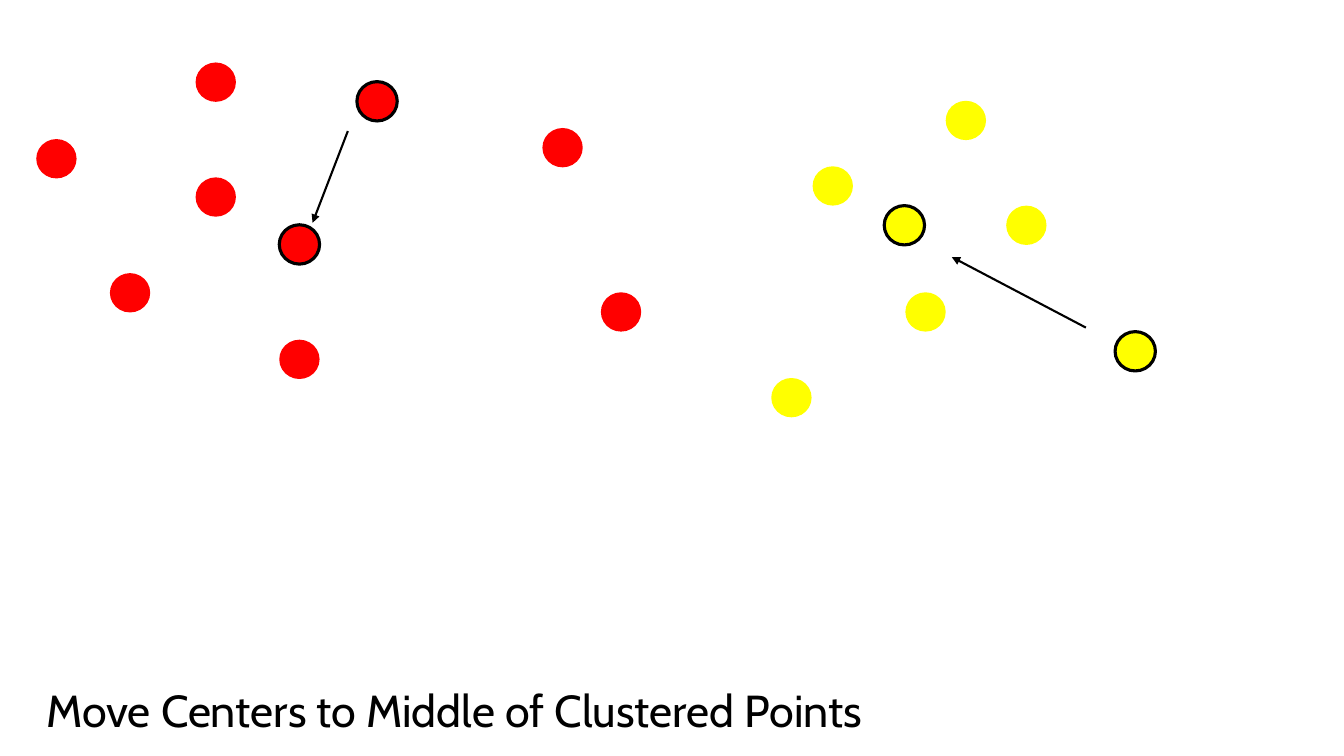
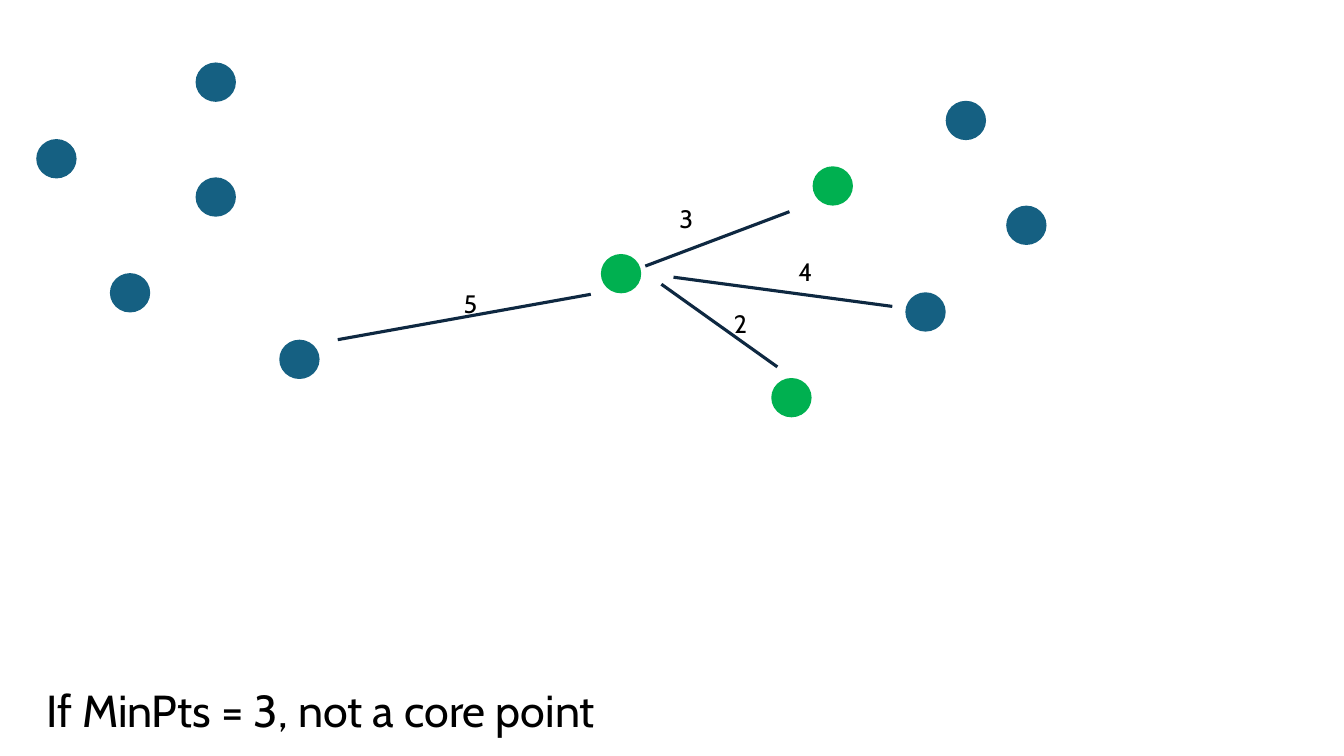
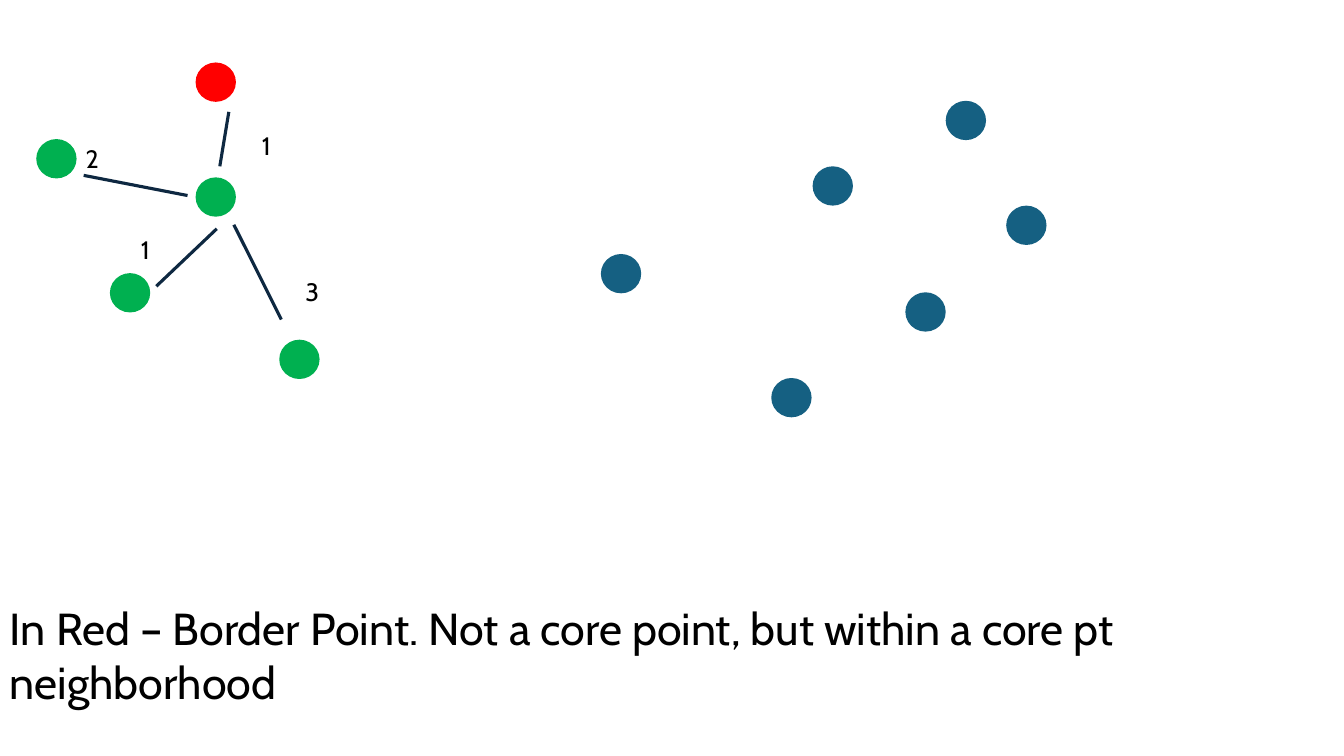
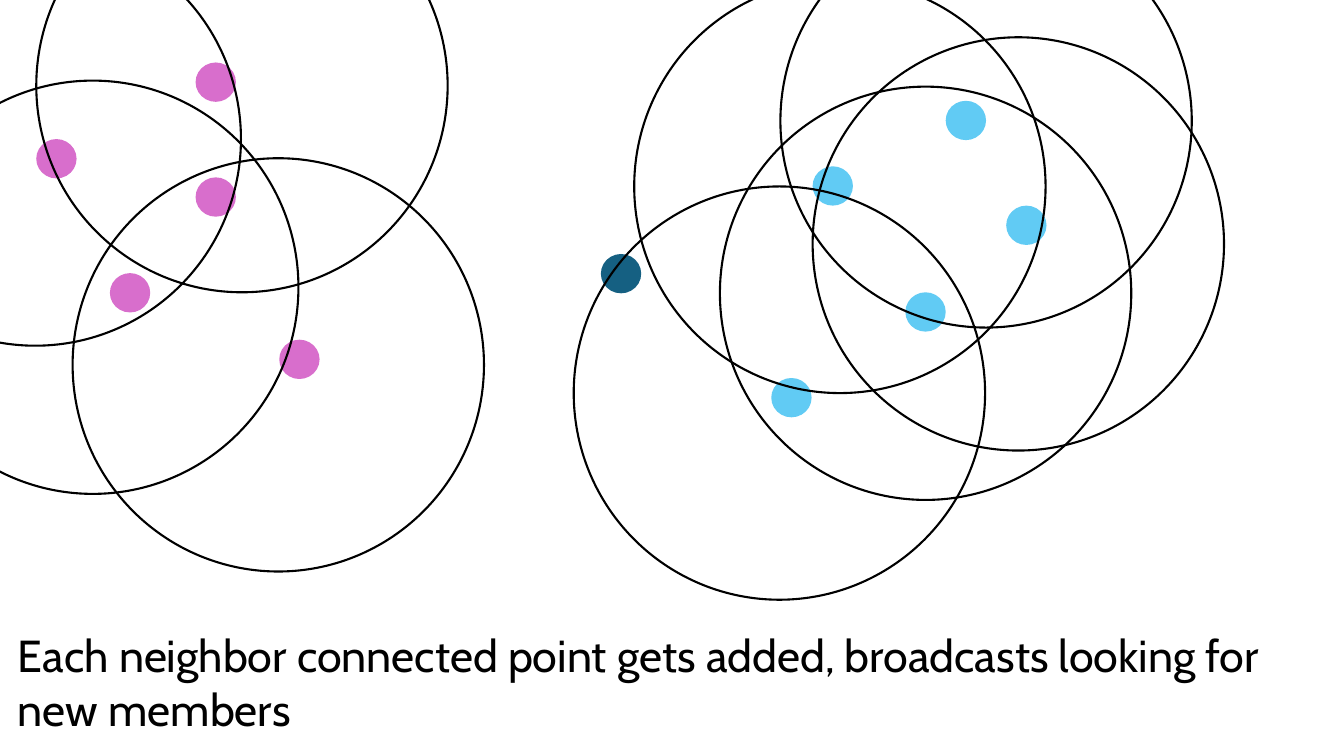
from dataclasses import dataclass, field
from typing import NamedTuple

from lxml.etree import SubElement
from pptx import Presentation
from pptx.dml.color import RGBColor
from pptx.enum.shapes import MSO_CONNECTOR as Connector, MSO_SHAPE as Preset
from pptx.enum.text import MSO_AUTO_SIZE as AutoSize
from pptx.oxml.ns import qn
from pptx.slide import Slide
from pptx.util import Inches, Pt

SLIDE_WIDTH, SLIDE_HEIGHT = Inches(13.33), Inches(7.5)
ROWS = 75
CELL = SLIDE_HEIGHT / ROWS
BLANK_LAYOUT = 6


@dataclass(frozen=True)
class Theme:
    font: str = "Cabin"
    caption_size: float = 32
    label_size: float = 18
    thin: float = 1.5
    thick: float = 2.25
    ink: str = "000000"
    link: str = "0E2841"
    plain: str = "156082"
    red: str = "FF0000"
    yellow: str = "FFFF00"
    green: str = "00B050"
    pink: str = "D86ECC"
    sky: str = "61CBF4"


class Place(NamedTuple):
    column: float
    row: float


class Size(NamedTuple):
    columns: float
    rows: float


class Dot(NamedTuple):
    place: Place
    color: str
    outlined: bool = False


class Line(NamedTuple):
    start: Place
    end: Place


class Label(NamedTuple):
    text: str
    place: Place


class Caption(NamedTuple):
    text: str
    place: Place
    size: Size


@dataclass(frozen=True)
class Scene:
    caption: Caption
    dots: list[Dot]
    arrows: list[Line] = field(default_factory=list)
    links: list[Line] = field(default_factory=list)
    labels: list[Label] = field(default_factory=list)
    rings: list[Place] = field(default_factory=list)


THEME = Theme()
DOT_SIZE = Size(4, 3.9)
RING_SIZE = Size(40.8, 41)
LABEL_SIZE = Size(4.8, 4)

LEFT_TOP = Place(19.4, 6.2)
LEFT_LOW = Place(10.9, 27.1)
LEFT_EDGE = Place(3.6, 13.8)
LEFT_CORE = Place(19.4, 17.6)
LEFT_BOTTOM = Place(27.7, 33.7)
MIDDLE = Place(59.6, 25.2)
RIGHT_BOTTOM = Place(76.5, 37.5)
RIGHT_LOW = Place(89.8, 29)
RIGHT_EDGE = Place(99.8, 20.4)
RIGHT_NEAR = Place(80.6, 16.5)
RIGHT_TOP = Place(93.8, 10)

LEFT_CLUSTER = [LEFT_TOP, LEFT_LOW, LEFT_EDGE, LEFT_CORE, LEFT_BOTTOM]
RIGHT_CLUSTER = [RIGHT_BOTTOM, RIGHT_LOW, RIGHT_EDGE, RIGHT_NEAR, RIGHT_TOP]
ALL_POINTS = [*LEFT_CLUSTER, MIDDLE, *RIGHT_CLUSTER]


def dots_of(places: list[Place], color: str, outlined: bool = False) -> list[Dot]:
    return [Dot(place, color, outlined) for place in places]


def highlighted(colors: dict[Place, str]) -> list[Dot]:
    return [Dot(place, colors.get(place, THEME.plain)) for place in ALL_POINTS]


SCENES = [
    Scene(
        Caption("Move Centers to Middle of Clustered Points", Place(3.6, 67.2), Size(92.4, 6.4)),
        dots_of([*LEFT_CLUSTER, Place(53.8, 12.7), Place(59.6, 29)], THEME.red)
        + dots_of(RIGHT_CLUSTER, THEME.yellow)
        + dots_of([Place(35.4, 8.1), Place(27.7, 22.3)], THEME.red, True)
        + dots_of([Place(110.6, 32.9), Place(87.7, 20.4)], THEME.yellow, True),
        arrows=[
            Line(Place(34.5, 13), Place(31, 22.1)),
            Line(Place(107.7, 32.5), Place(94.4, 25.5)),
        ],
    ),
    Scene(
        Caption("If MinPts = 3, not a core point", Place(3.6, 67.2), Size(110.5, 6.4)),
        highlighted(dict.fromkeys([MIDDLE, RIGHT_BOTTOM, RIGHT_NEAR], THEME.green)),
        links=[
            Line(Place(78.3, 21), Place(64, 26.4)),
            Line(Place(77.1, 36.4), Place(65.6, 28.2)),
            Line(Place(33.5, 33.7), Place(58.6, 29.2)),
            Line(Place(66.8, 27.5), Place(88.5, 30.4)),
        ],
        labels=[
            Label("5", Place(45, 28.1)),
            Label("4", Place(78.2, 24.9)),
            Label("3", Place(66.4, 19.7)),
            Label("2", Place(71.8, 30.1)),
        ],
    ),
    Scene(
        Caption(
            "In Red – Border Point. Not a core point, but within a core pt neighborhood",
            Place(0, 59.1),
            Size(124.6, 11.8),
        ),
        highlighted({**dict.fromkeys(LEFT_CLUSTER, THEME.green), LEFT_TOP: THEME.red}),
        links=[
            Line(Place(18.6, 19.4), Place(8.3, 17.4)),
            Line(Place(27.9, 31.7), Place(23.2, 22.3)),
            Line(Place(21.8, 16.5), Place(22.7, 11.1)),
            Line(Place(21.5, 22.7), Place(15.5, 28.4)),
        ],
        labels=[
            Label("3", Place(29.3, 26.9)),
            Label("1", Place(25, 12.4)),
            Label("1", Place(13, 22.8)),
            Label("2", Place(7.5, 13.7)),
        ],
    ),
    Scene(
        Caption(
            "Each neighbor connected point gets added, broadcasts looking for new members",
            Place(0.8, 61.8),
            Size(125.6, 11.8),
        ),
        highlighted({
            **dict.fromkeys(LEFT_CLUSTER, THEME.pink),
            **dict.fromkeys(RIGHT_CLUSTER, THEME.sky),
        }),
        rings=[
            Place(71.4, 8.6),
            Place(7.2, 15.7),
            Place(-11.2, 8),
            Place(-16.9, -6.7),
            Place(3.6, -12),
            Place(77.4, -8.5),
            Place(80.6, 3.7),
            Place(56.9, 18.5),
            Place(62.9, -2),
        ],
    ),
]


def cells(*counts: float) -> list[int]:
    return [round(count * CELL) for count in counts]


def add_circle(
    slide: Slide, place: Place, size: Size, fill: str | None, line_width: float | None
) -> None:
    shape = slide.shapes.add_shape(Preset.OVAL, *cells(*place, *size))
    shape.shadow.inherit = False
    if fill is None:
        shape.fill.background()
    else:
        shape.fill.solid()
        shape.fill.fore_color.rgb = RGBColor.from_string(fill)
    if line_width is None:
        shape.line.fill.background()
    else:
        shape.line.color.rgb = RGBColor.from_string(THEME.ink)
        shape.line.width = Pt(line_width)


def add_line(slide: Slide, line: Line, color: str, width: float, arrow: bool = False) -> None:
    connector = slide.shapes.add_connector(Connector.STRAIGHT, *cells(*line.start, *line.end))
    connector.line.color.rgb = RGBColor.from_string(color)
    connector.line.width = Pt(width)
    if arrow:
        SubElement(connector.line._get_or_add_ln(), qn("a:tailEnd"), type="triangle")
    SubElement(connector._element.spPr, qn("a:effectLst"))


def add_text(slide: Slide, text: str, place: Place, size: Size, points: float) -> None:
    frame = slide.shapes.add_textbox(*cells(*place, *size)).text_frame
    frame.word_wrap = True
    frame.auto_size = AutoSize.SHAPE_TO_FIT_TEXT
    run = frame.paragraphs[0].add_run()
    run.text = text
    run.font.name = THEME.font
    run.font.size = Pt(points)
    run.font.color.rgb = RGBColor.from_string(THEME.ink)


def draw_scene(slide: Slide, scene: Scene) -> None:
    for dot in scene.dots:
        add_circle(slide, dot.place, DOT_SIZE, dot.color, THEME.thick if dot.outlined else None)
    add_text(slide, *scene.caption, THEME.caption_size)
    for arrow in scene.arrows:
        add_line(slide, arrow, THEME.ink, THEME.thin, arrow=True)
    for link in scene.links:
        add_line(slide, link, THEME.link, THEME.thick)
    for label in scene.labels:
        add_text(slide, label.text, label.place, LABEL_SIZE, THEME.label_size)
    for ring in scene.rings:
        add_circle(slide, ring, RING_SIZE, None, THEME.thin)


def main() -> None:
    presentation = Presentation()
    presentation.slide_width = SLIDE_WIDTH
    presentation.slide_height = SLIDE_HEIGHT
    for scene in SCENES:
        slide = presentation.slides.add_slide(presentation.slide_layouts[BLANK_LAYOUT])
        draw_scene(slide, scene)
    presentation.save("out.pptx")


if __name__ == "__main__":
    main()
